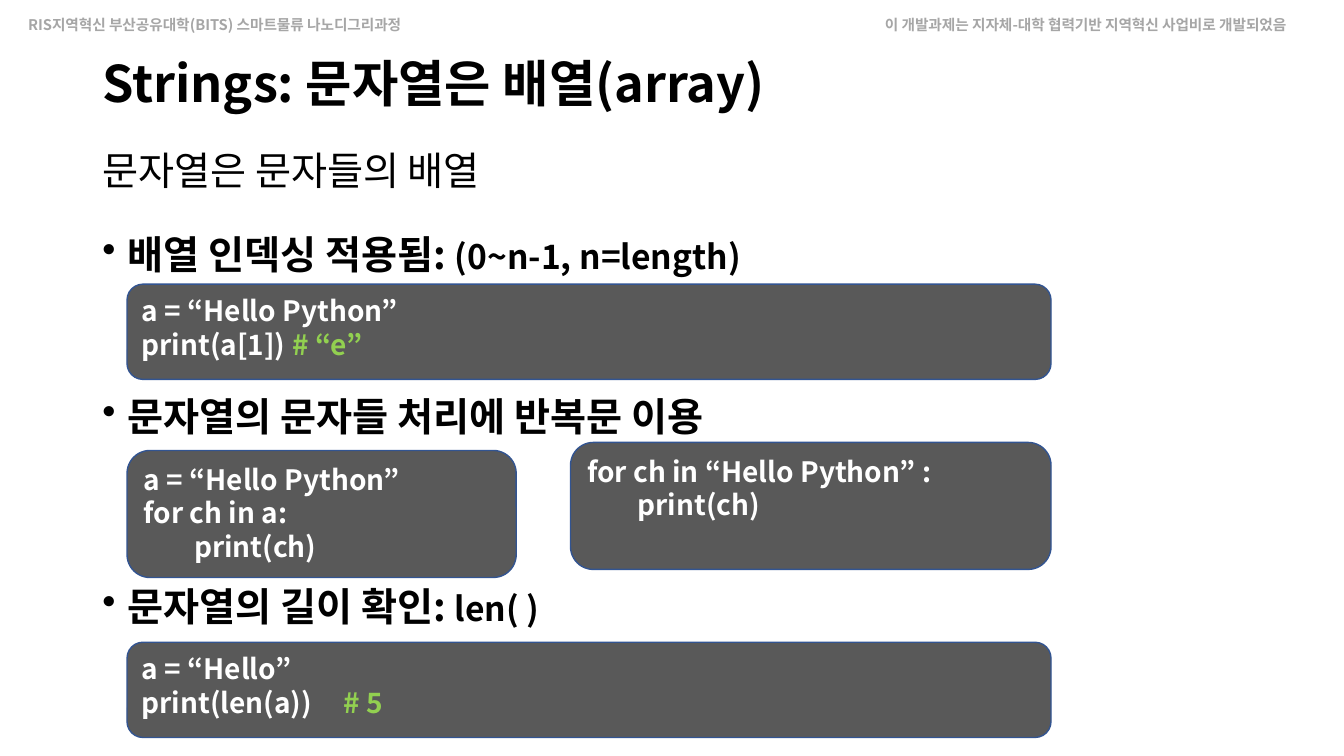
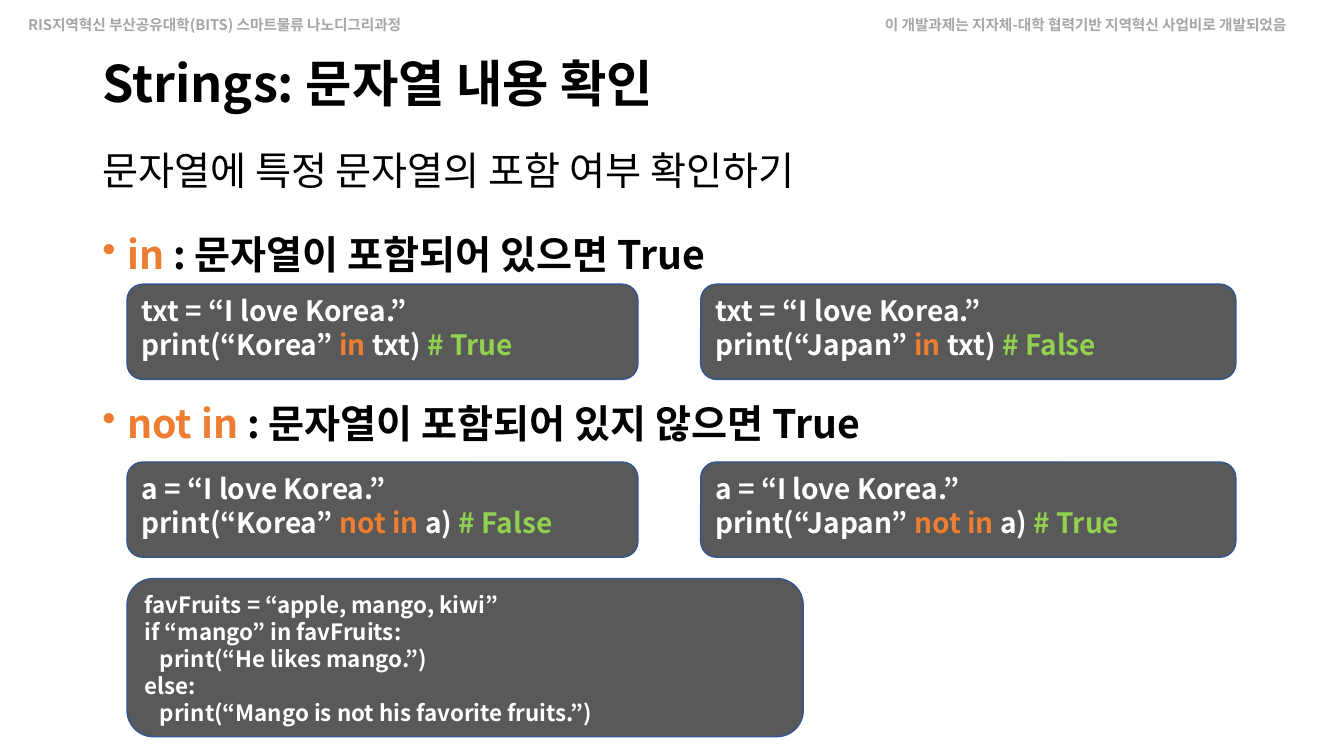
"""Builds two lecture slides about Python strings."""
import dataclasses

import pptx
import pptx.dml.color
import pptx.enum.shapes
import pptx.enum.text
import pptx.oxml.ns
import pptx.util
from lxml import etree

Pt = pptx.util.Pt


@dataclasses.dataclass(frozen=True)
class Theme:
    font: str = "Noto Sans CJK KR"
    ink: str = "000000"
    header: str = "A6A6A6"
    code: str = "FFFFFF"
    keyword: str = "ED7D31"
    comment: str = "92D050"
    panel: str = "595959"
    outline: str = "325491"
    header_size: float = 10.5
    title_size: int = 36
    body_size: int = 28
    detail_size: int = 24
    code_size: int = 20
    small_size: int = 16


THEME = Theme()
KEYWORD = {"color": THEME.keyword}
COMMENT = {"color": THEME.comment}
DETAIL = {"size": THEME.detail_size}

HEADERS = [
    ("RIS지역혁신 부산공유대학(BITS) 스마트물류 나노디그리과정", (13, 8, 305, 20)),
    ("이 개발과제는 지자체-대학 협력기반 지역혁신 사업비로 개발되었음", (625, 8, 335, 20)),
]
TITLE_AREA = (66, 29, 828, 65)
BODY_AREA = (66, 84, 870, 448)
LEFT, TOP_ROW, ROW_HEIGHT = 90.75, 203, 68
LOOP_HEIGHT, LOOP_CORNER = 90.75, 0.18
SECOND_LEFT, SECOND_ROW = 500.5, 330


def membership(variable, country, operator, result):
    return [
        [f"{variable} = “I love Korea.”"],
        [f"print(“{country}” ", (operator, KEYWORD), f" {variable}) ", (f"# {result}", COMMENT)],
    ]


SLIDES = [
    {
        "title": "Strings: 문자열은 배열(array)",
        "lead": "문자열은 문자들의 배열",
        "bullets": [
            (["배열 인덱싱 적용됨: ", ("(0~n-1, n=length)", DETAIL)], 10),
            (["문자열의 문자들 처리에 반복문 이용"], 82),
            (["문자열의 길이 확인: ", ("len( )", DETAIL)], 102),
        ],
        "panels": [
            {"area": (LEFT, TOP_ROW, 660, ROW_HEIGHT),
             "lines": [["a = “Hello Python”"], ["print(a[1])\t", ("# “e”", COMMENT)]]},
            {"area": (LEFT, 321.75, 278, LOOP_HEIGHT), "corner": LOOP_CORNER,
             "lines": [["a = “Hello Python”"], ["for ch in a:"], ["\tprint(ch)"]]},
            {"area": (407.5, 316, 343.25, LOOP_HEIGHT), "corner": LOOP_CORNER,
             "lines": [["for ch in “Hello Python” :"], ["\tprint(ch)"]]},
            {"area": (LEFT, 458.75, 660, ROW_HEIGHT),
             "lines": [["a = “Hello”"], ["print(len(a))\t", ("# 5", COMMENT)]]},
        ],
    },
    {
        "title": "Strings: 문자열 내용 확인",
        "lead": "문자열에 특정 문자열의 포함 여부 확인하기",
        "bullets": [
            ([("in", KEYWORD), " : 문자열이 포함되어 있으면 True"], 10),
            ([("not in", KEYWORD), " : 문자열이 포함되어 있지 않으면 True"], 87),
        ],
        "panels": [
            {"area": (left, top, width, ROW_HEIGHT),
             "lines": membership(variable, country, operator, result)}
            for top, variable, operator, results in [
                (TOP_ROW, "txt", "in", ("True", "False")),
                (SECOND_ROW, "a", "not in", ("False", "True")),
            ]
            for left, width, country, result in [
                (LEFT, 365, "Korea", results[0]),
                (SECOND_LEFT, 382.25, "Japan", results[1]),
            ]
        ] + [
            {"area": (LEFT, 413.25, 483, 113), "size": THEME.small_size,
             "lines": [
                 ["favFruits = “apple, mango, kiwi”"],
                 ["if “mango” in favFruits:"],
                 ["   print(“He likes mango.”)"],
                 ["else:"],
                 ["   print(“Mango is not his favorite fruits.”)"],
             ]},
        ],
    },
]


def rgb(value):
    return pptx.dml.color.RGBColor.from_string(value)


def write(frame, spans, size, color=THEME.ink, bold=True, spacing=None, before=0, bullet=False):
    first = frame.paragraphs[0]
    para = frame.add_paragraph() if first.runs else first
    if bullet:
        properties = para._p.get_or_add_pPr()
        properties.set("marL", str(Pt(18)))
        properties.set("indent", str(-Pt(18)))
        etree.SubElement(properties, pptx.oxml.ns.qn("a:buChar")).set("char", "•")
    para.alignment = pptx.enum.text.PP_ALIGN.LEFT
    if spacing:
        para.line_spacing = spacing
    if before:
        para.space_before = Pt(before)
    for item in spans:
        text, style = (item, {}) if isinstance(item, str) else item
        span = para.add_run()
        span.text = text
        span.font.name = THEME.font
        span.font.size = Pt(style.get("size", size))
        span.font.bold = bold
        span.font.color.rgb = rgb(style.get("color", color))
        east_asian = etree.SubElement(span._r.get_or_add_rPr(), pptx.oxml.ns.qn("a:ea"))
        east_asian.set("typeface", THEME.font)


def add_frame(page, area):
    frame = page.shapes.add_textbox(*map(Pt, area)).text_frame
    frame.word_wrap = True
    return frame


def add_panel(page, area, lines, size=THEME.code_size, corner=None):
    box = page.shapes.add_shape(
        pptx.enum.shapes.MSO_SHAPE.ROUNDED_RECTANGLE, *map(Pt, area))
    box.shadow.inherit = False
    box.fill.solid()
    box.fill.fore_color.rgb = rgb(THEME.panel)
    box.line.color.rgb = rgb(THEME.outline)
    box.line.width = Pt(1)
    if corner:
        box.adjustments[0] = corner
    box.text_frame.word_wrap = True
    box.text_frame.vertical_anchor = pptx.enum.text.MSO_ANCHOR.TOP
    for spans in lines:
        write(box.text_frame, spans, size, color=THEME.code)


def add_page(deck, content):
    page = deck.slides.add_slide(deck.slide_layouts[6])
    for text, area in HEADERS:
        write(add_frame(page, area), [text], THEME.header_size, color=THEME.header)
    title = add_frame(page, TITLE_AREA)
    title.vertical_anchor = pptx.enum.text.MSO_ANCHOR.MIDDLE
    write(title, [content["title"]], THEME.title_size, spacing=0.9)
    body = add_frame(page, BODY_AREA)
    write(body, [content["lead"]], THEME.body_size, bold=False, spacing=1.5)
    for index, (spans, before) in enumerate(content["bullets"]):
        write(body, spans, THEME.body_size, spacing=None if index else 1.5,
              before=before, bullet=True)
    for panel in content["panels"]:
        add_panel(page, **panel)


def main():
    deck = pptx.Presentation()
    deck.slide_width, deck.slide_height = Pt(960), Pt(540)
    for content in SLIDES:
        add_page(deck, content)
    deck.save("out.pptx")


if __name__ == "__main__":
    main()
